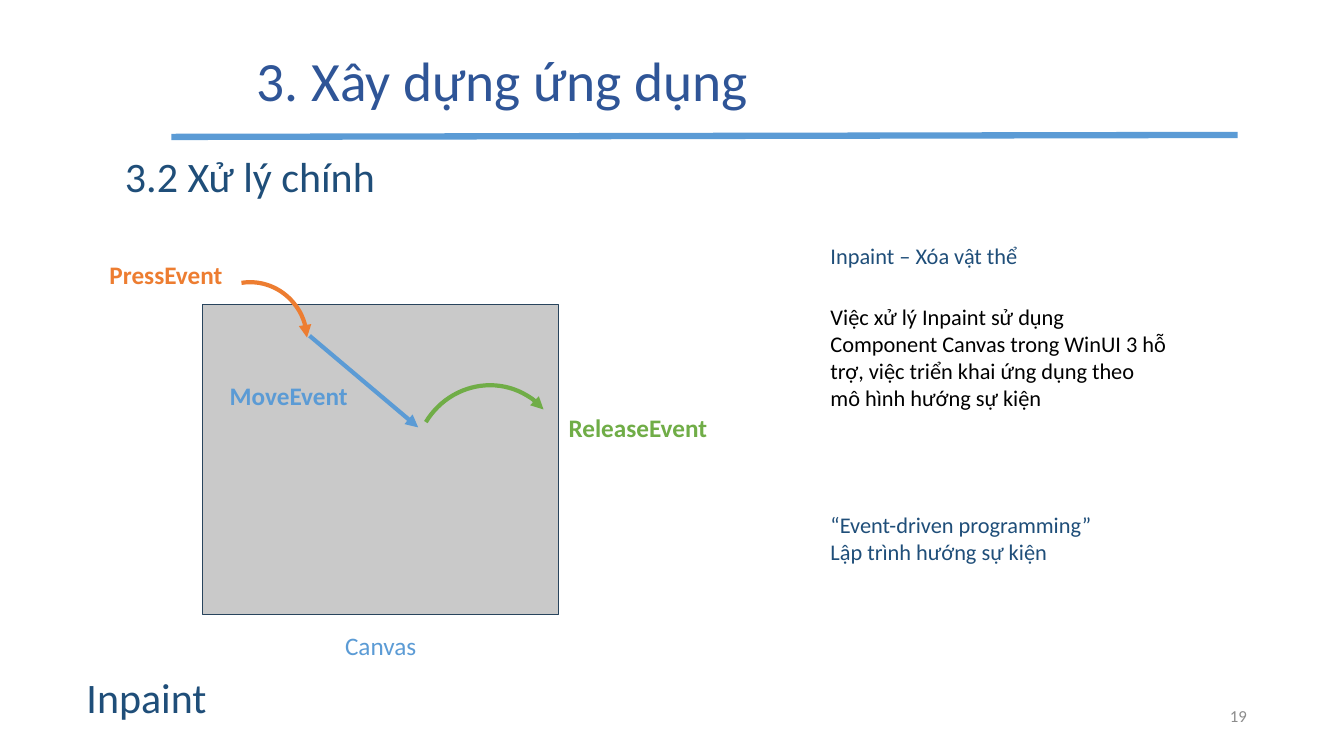
from lxml.etree import SubElement
from pptx import Presentation
from pptx.dml.color import RGBColor
from pptx.enum.shapes import MSO_CONNECTOR, MSO_SHAPE
from pptx.enum.text import MSO_ANCHOR, PP_ALIGN
from pptx.oxml.ns import qn
from pptx.util import Cm, Pt

COLORS = {
    "title": "2F5597", "navy": "1F4E79", "blue": "5B9BD5", "orange": "ED7D31",
    "green": "70AD47", "canvas": "C9C9C9", "edge": "28445D", "gray": "8C8C8C",
    "black": "000000",
}


def color(name):
    """Return the named colour."""
    return RGBColor.from_string(COLORS[name])


def write(shapes, box, text, size, tint, bold=False, align=PP_ALIGN.LEFT,
          anchor=MSO_ANCHOR.TOP, space=1.0):
    """Add a wrapped text box, given its box in centimetres."""
    frame = shapes.add_textbox(*map(Cm, box)).text_frame
    frame.word_wrap = True
    frame.vertical_anchor = anchor
    frame.text = text
    for para in frame.paragraphs:
        para.alignment = align
        para.line_spacing = space
        for run in para.runs:
            run.font.name = "Calibri"
            run.font.size = Pt(size)
            run.font.bold = bold
            run.font.color.rgb = color(tint)


def stroke(shape, tint, width, arrow=False):
    """Style an outline, with an arrowhead at its end if asked."""
    shape.line.color.rgb = color(tint)
    shape.line.width = Pt(width)
    if arrow:
        line = shape.element.spPr.find(qn("a:ln"))
        SubElement(line, qn("a:tailEnd")).set("type", "triangle")


def link(shapes, ends, tint, width, arrow=False):
    """Add a straight line between two points in centimetres."""
    line = shapes.add_connector(MSO_CONNECTOR.STRAIGHT, *map(Cm, ends))
    stroke(line, tint, width, arrow)
    SubElement(line.element.spPr, qn("a:effectLst"))


def curve(shapes, box, turn, end, tint):
    """Add a rotated arc that ends in an arrowhead."""
    arc = shapes.add_shape(MSO_SHAPE.ARC, *map(Cm, box))
    arc.adjustments[0] = 162
    arc.adjustments[1] = end
    arc.rotation = turn
    arc.fill.background()
    arc.shadow.inherit = False
    stroke(arc, tint, 3, True)


def header(slide, box):
    """Place the title, its rule and the section heading."""
    left, top, width, high = box
    shapes = slide.shapes
    write(shapes, (left + 1.9, top, width - 1.11, high), "3. Xây dựng ứng dụng",
          39.6, "title", anchor=MSO_ANCHOR.MIDDLE, space=0.9)
    link(shapes, (left, top + 2.21, left + width, top + 2.16), "blue", 4.5)
    write(shapes, (left - 1.42, top + 2.44, 14.63, 1.55), "3.2 Xử lý chính",
          30, "navy")


def diagram(slide, box):
    """Place the canvas and the three pointer events on it."""
    left, top, width, high = box
    shapes = slide.shapes.add_group_shape().shapes
    canvas = shapes.add_shape(MSO_SHAPE.RECTANGLE, *map(Cm, box))
    canvas.fill.solid()
    canvas.fill.fore_color.rgb = color("canvas")
    canvas.shadow.inherit = False
    stroke(canvas, "edge", 1)

    curve(shapes, (left - 0.21, top - 0.56, 2.84, 2.92), 350.8, 3.96, "orange")
    link(shapes, (left + 2.69, top + 0.79, left + 5.43, top + 3.1),
         "blue", 3, True)
    curve(shapes, (left + 5.3, top + 2.08, 3.78, 3.66), 301.1, 10.1, "green")

    wide, tall = 4.14, 1.02
    labels = [
        ("PressEvent", -2.6, -1.27, "orange"),
        ("MoveEvent", 0.43, 1.8, "blue"),
        ("ReleaseEvent", width, 2.59, "green"),
    ]
    for text, across, down, tint in labels:
        write(shapes, (left + across, top + down, wide, tall), text, 18, tint,
              bold=True)
    write(shapes, (left + (width - wide) / 2, top + high + 0.28, wide, tall),
          "Canvas", 18, "blue", align=PP_ALIGN.CENTER)


def notes(slide, box):
    """Place the explanation beside the diagram."""
    left, top, width, high = box
    rows = [
        (0, width - 1.78, 0.94, "Inpaint – Xóa vật thể", "navy"),
        (1.55, width, 3.23,
         "Việc xử lý Inpaint sử dụng Component Canvas trong WinUI 3 hỗ trợ, "
         "việc triển khai ứng dụng theo mô hình hướng sự kiện", "black"),
        (high - 1.78, width - 1.78, 1.78,
         "“Event-driven programming”\nLập trình hướng sự kiện", "navy"),
    ]
    for down, wide, tall, text, tint in rows:
        write(slide.shapes, (left, top + down, wide, tall), text, 16, tint)


def footer(slide, box):
    """Place the topic name and the slide number."""
    left, top, width, high = box
    write(slide.shapes, (left, top, 4.75, high), "Inpaint", 30, "navy")
    write(slide.shapes, (left + width - 7.62, top + 0.74, 7.62, 1.02), "19",
          12, "gray", align=PP_ALIGN.RIGHT, anchor=MSO_ANCHOR.MIDDLE)


def main():
    """Build and save the slide."""
    deck = Presentation()
    deck.slide_width, deck.slide_height = Cm(33.87), Cm(19.05)
    slide = deck.slides.add_slide(deck.slide_layouts[6])
    header(slide, (4.32, 1.24, 26.87, 1.75))
    diagram(slide, (5.11, 7.67, 8.97, 7.82))
    notes(slide, (20.68, 5.97, 8.97, 8.56))
    footer(slide, (1.93, 16.79, 29.74, 1.55))
    deck.save("out.pptx")


if __name__ == "__main__":
    main()
